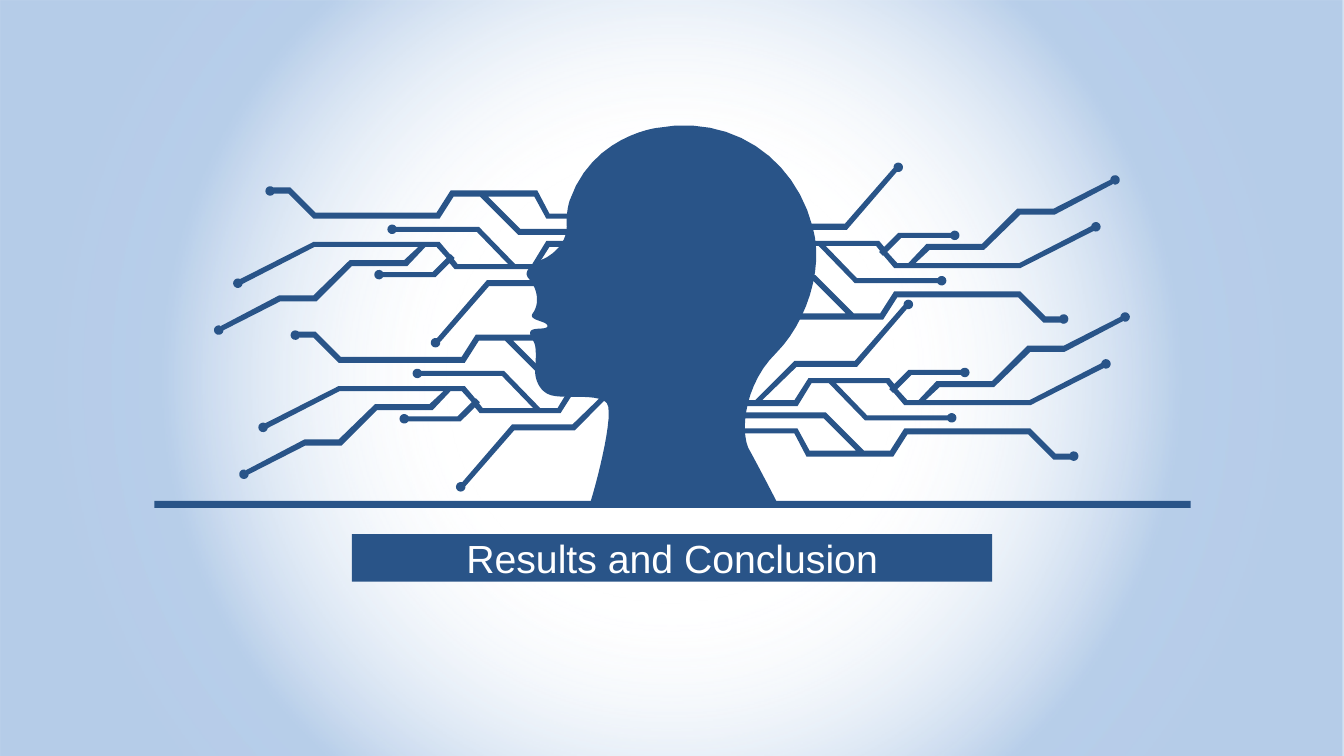
from math import atan2, cos, pi, sin

from lxml import etree
from pptx import Presentation, util as u
from pptx.dml.color import RGBColor
from pptx.enum import shapes as s, text as t
from pptx.oxml.ns import nsdecls, qn

WIDE, HIGH = 13.33, 7.5
NAVY, SKY, PALE, WHITE = "295488", "87ADDB", "F9FBFD", "FFFFFF"

# Circuit outline in hundredths of an inch; DOT marks the centre of a round end.
DOT, RADIUS = "dot", 4.7
TRACKS = [
    [(209, 120), (127, 120), (91, 83), (74, 83), (60, 106), (0, 106), (0, 100),
     (18, 100), (57, 61), (117, 61), (165, 6), (170, 5, DOT), (169, 9),
     (119, 67), (59, 67), (25, 100), (57, 100), (71, 78), (151, 78), (156, 84),
     (170, 70), (222, 70), (226, 72.5, DOT), (222, 75), (173, 75), (159, 89),
     (169, 100), (180, 100), (198, 81), (253, 81), (288, 46), (324, 46),
     (381, 17), (385, 17.5, DOT), (384, 21), (325, 52), (291, 52), (255, 87),
     (201, 87), (187, 100), (290, 100), (362, 63), (366, 64, DOT), (364, 68),
     (291, 105), (166, 105), (155, 92), (155, 93), (151, 89), (152, 88),
     (148, 83), (98, 83), (129, 115), (209, 115), (213, 117.5, DOT)],
    [(331, 159), (314, 159), (289, 134), (169, 134), (155, 156), (69, 156),
     (57, 133), (0, 133), (0, 128), (60, 128), (72, 150), (118, 150),
     (86, 118), (0, 118), (0, 112), (88, 112), (126, 150), (152, 150),
     (166, 128), (291, 128), (316, 153), (331, 153), (334, 155.5, DOT)],
]

# Head outline: a line has one point, a curve two handles and an end.
HEAD = [
    [(64, 373)], [(248, 373)],
    [(243, 363), (224, 327), (220, 320)], [(212, 300), (218, 255), (248, 226)],
    [(277, 197), (296, 143), (284, 101)], [(266, 32), (203, -11), (129, 3)],
    [(129, 3), (65, 11), (43, 75)], [(43, 75), (40, 84), (40, 96)],
    [(42, 116), (28, 127), (19, 132)], [(10, 136), (-6, 144), (3, 153)],
    [(13, 165), (12, 179), (7, 186)], [(0, 194), (20, 194), (21, 199)],
    [(22, 204), (6, 200), (4, 205)], [(3, 211), (8, 213), (9, 220)],
    [(10, 227), (9, 239), (9, 243)], [(8, 246), (10, 267), (29, 269)],
    [(48, 271), (72, 267), (80, 276)], [(87, 286), (72, 347), (64, 373)],
]


def color(code):
    return RGBColor.from_string(code)


def paint(shape, code):
    shape.shadow.inherit = False
    shape.fill.solid()
    shape.fill.fore_color.rgb = color(code)
    shape.line.fill.background()
    return shape


def block(slide, box, code):
    return paint(slide.shapes.add_shape(
        s.MSO_SHAPE.RECTANGLE, *map(u.Inches, box)), code)


def outline(slide, left, top, loops, code):
    """Fill closed loops given in hundredths of an inch from left, top."""
    loops = [[(u.Inches(left + x / 100), u.Inches(top + y / 100))
              for x, y in loop] for loop in loops]
    form = slide.shapes.build_freeform(*loops[0][0])
    for loop in loops:
        form.move_to(*loop[0])
        form.add_line_segments(loop[1:], close=True)
    return paint(form.convert_to_shape(), code)


def arc(start, mid, end, steps=12):
    """Walk clockwise round mid from the side of start to that of end."""
    a, b = (atan2(y - mid[1], x - mid[0]) for x, y in (start, end))
    turn = (b - a) % (2 * pi)
    return [(mid[0] + RADIUS * cos(a + turn * i / steps),
             mid[1] + RADIUS * sin(a + turn * i / steps))
            for i in range(steps + 1)]


def circuit(slide, left, top, turned=False):
    loops = []
    for track in TRACKS:
        loop = []
        for i, node in enumerate(track):
            if DOT in node:
                loop += arc(track[i - 1], node, track[(i + 1) % len(track)])
            else:
                loop.append(node)
        loops.append([(390 - x, 160 - y) if turned else (x, y)
                      for x, y in loop])
    outline(slide, left, top, loops, NAVY)


def head(slide, left, top, steps=12):
    loop = [HEAD[0][0]]
    for part in HEAD[1:]:
        if len(part) == 1:
            loop += part
            continue
        knots = [loop[-1], *part]
        for i in range(1, steps + 1):
            f = i / steps
            g = 1 - f
            parts = (g ** 3, 3 * g * g * f, 3 * g * f * f, f ** 3)
            loop.append(tuple(sum(w * k[axis] for w, k in zip(parts, knots))
                              for axis in (0, 1)))
    outline(slide, left, top, [loop], NAVY)


def glow(slide, box):
    """Cover the box with a blue haze that is clear in the middle."""
    haze = block(slide, box, SKY)
    stops = "".join(
        f'<a:gs pos="{at * 1000}"><a:srgbClr val="{code}">'
        f'<a:alpha val="{alpha * 1000}"/></a:srgbClr></a:gs>'
        for at, code, alpha in ((29, PALE, 0), (66, SKY, 58), (80, SKY, 61)))
    grad = etree.fromstring(
        f'<a:gradFill {nsdecls("a")} rotWithShape="1"><a:gsLst>{stops}</a:gsLst>'
        '<a:path path="circle"><a:fillToRect l="50000" t="50000" r="50000"'
        ' b="50000"/></a:path></a:gradFill>')
    props = haze._element.spPr
    props.replace(props.find(qn("a:solidFill")), grad)


def emblem(slide, left, top):
    """Draw the head, its four circuits and the ground line."""
    circuit(slide, left + 5.68, top + 0.37)
    circuit(slide, left + 0.59, top + 0.61, turned=True)
    circuit(slide, left + 5.78, top + 1.73)
    head(slide, left + 3.69, top)
    circuit(slide, left + 0.84, top + 2.04, turned=True)
    block(slide, (left, top + 3.73, 10.28, 0.07), NAVY)


def title(slide, box, words):
    frame = block(slide, box, NAVY).text_frame
    frame.word_wrap = True
    frame.auto_size = t.MSO_AUTO_SIZE.SHAPE_TO_FIT_TEXT
    frame.vertical_anchor = t.MSO_ANCHOR.MIDDLE
    frame.margin_left = frame.margin_right = u.Inches(0.04)
    frame.margin_top = frame.margin_bottom = 0
    para = frame.paragraphs[0]
    para.alignment = t.PP_ALIGN.CENTER
    run = para.add_run()
    run.text = words
    run.font.name = "Arial"
    run.font.size = u.Pt(28)
    run.font.color.rgb = color(WHITE)


def main():
    deck = Presentation()
    deck.slide_width, deck.slide_height = u.Inches(WIDE), u.Inches(HIGH)
    slide = deck.slides.add_slide(deck.slide_layouts[6])
    glow(slide, (0, 0, WIDE, HIGH))
    emblem(slide, 1.53, 1.24)
    title(slide, (3.49, 5.3, 6.35, 0.47), "Results and Conclusion")
    deck.save("out.pptx")


if __name__ == "__main__":
    main()
